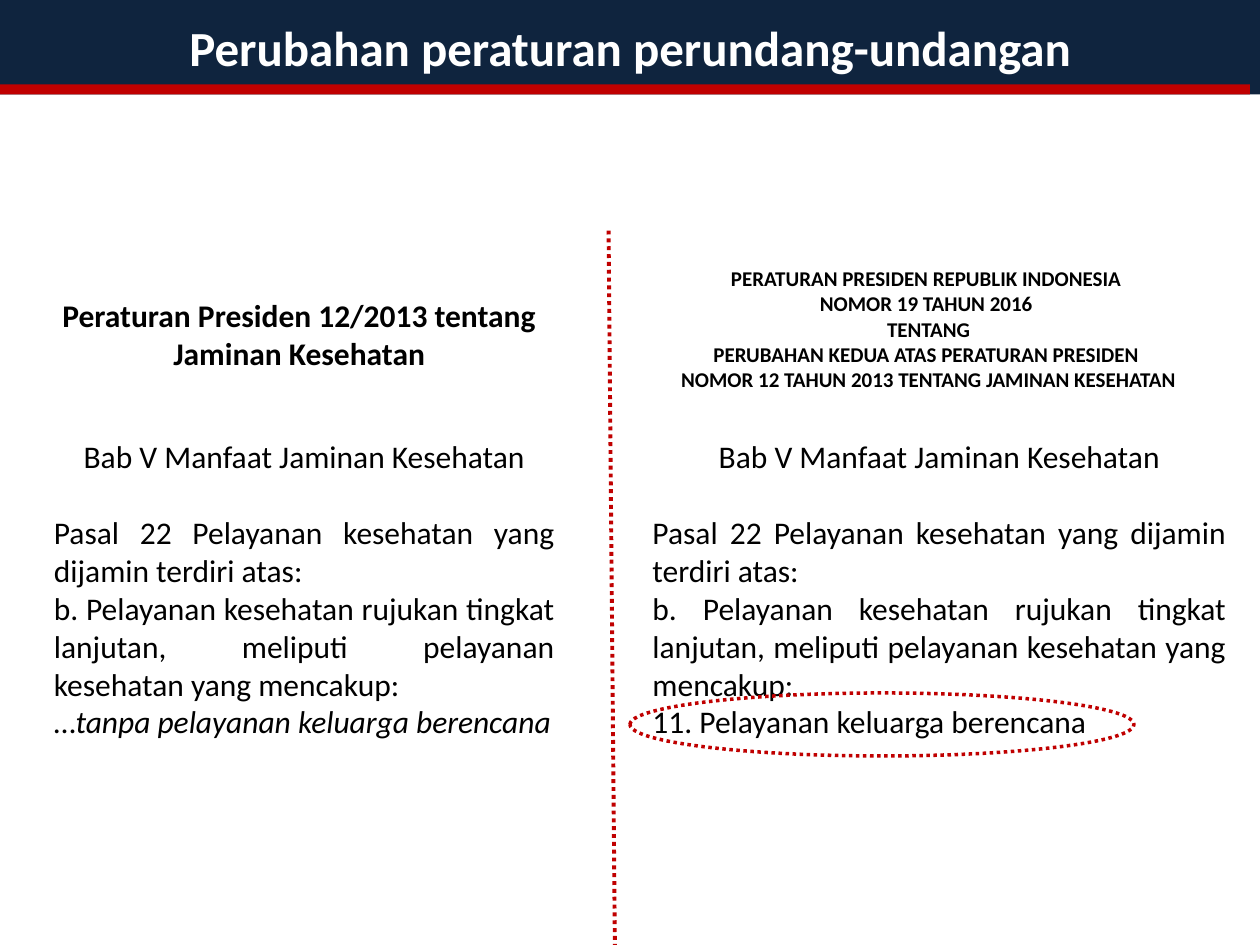
from pptx import Presentation
from pptx.dml.color import RGBColor
from pptx.enum.dml import MSO_LINE
from pptx.enum.shapes import MSO_CONNECTOR, MSO_SHAPE
from pptx.enum.text import MSO_ANCHOR, PP_ALIGN
from pptx.oxml.ns import qn
from pptx.util import Inches, Pt
from lxml.etree import SubElement

NAVY, RED, WHITE, BLACK = "0F243E", "C00000", "FFFFFF", "000000"
FONT = "Calibri"

TITLE = "Perubahan peraturan perundang-undangan"
CHAPTER = "Bab V Manfaat Jaminan Kesehatan"
ARTICLE = [
    "Pasal 22 Pelayanan kesehatan yang dijamin terdiri atas:",
    "b. Pelayanan kesehatan rujukan tingkat lanjutan, meliputi "
    "pelayanan kesehatan yang mencakup:",
]
# Boxes are left, top, width, height in inches; closing is (upright, italic)
REGULATIONS = [
    {
        "heading": ["Peraturan Presiden 12/2013 tentang Jaminan Kesehatan"],
        "heading_size": 18,
        "heading_box": (0.25, 2.3, 4.25, 0.71),
        "closing": ("…", "tanpa pelayanan keluarga berencana"),
        "article_box": (0.33, 3.42, 4.17, 2.83),
    },
    {
        "heading": [
            "PERATURAN PRESIDEN REPUBLIK INDONESIA ",
            "NOMOR 19 TAHUN 2016 ",
            "TENTANG",
            "PERUBAHAN KEDUA ATAS PERATURAN PRESIDEN ",
            "NOMOR 12 TAHUN 2013 TENTANG JAMINAN KESEHATAN",
        ],
        "heading_size": 12,
        "heading_box": (5.08, 2.06, 4.58, 1.11),
        "closing": ("11. Pelayanan keluarga berencana", ""),
        "article_box": (5.08, 3.42, 4.75, 3.13),
    },
]


def color(hex_code):
    return RGBColor.from_string(hex_code)


def add_block(kind, box, fill=None):
    block = slide.shapes.add_shape(kind, *map(Inches, box))
    block.shadow.inherit = False
    block.line.fill.background()
    if fill:
        block.fill.solid()
        block.fill.fore_color.rgb = color(fill)
    else:
        block.fill.background()
    return block


def dot_line(line, width):
    line.color.rgb = color(RED)
    line.width = Pt(width)
    line.dash_style = MSO_LINE.ROUND_DOT


def style(paragraph, size, align=PP_ALIGN.CENTER, bold=False, ink=BLACK):
    paragraph.alignment = align
    font = paragraph.font
    font.name, font.size, font.bold = FONT, Pt(size), bold
    font.color.rgb = color(ink)


def add_text(box, lines):
    frame = slide.shapes.add_textbox(*map(Inches, box)).text_frame
    frame.word_wrap = True
    frame.text = "\n".join(lines)
    return frame


prs = Presentation()
prs.slide_width, prs.slide_height = Inches(10), Inches(7.5)
slide = prs.slides.add_slide(prs.slide_layouts[6])

# Title band with red underline
band = add_block(MSO_SHAPE.RECTANGLE, (0, -0.01, 10, 0.76), NAVY)
band.text_frame.text = TITLE
band.text_frame.vertical_anchor = MSO_ANCHOR.MIDDLE
style(band.text_frame.paragraphs[0], 28, bold=True, ink=WHITE)
add_block(MSO_SHAPE.RECTANGLE, (0, 0.67, 9.92, 0.08), RED)

# Divider between the two regulations
divider = slide.shapes.add_connector(
    MSO_CONNECTOR.STRAIGHT, *map(Inches, (4.83, 1.83, 4.88, 7.5)))
dot_line(divider.line, 2.25)
SubElement(divider._element.spPr, qn("a:effectLst"))

# Heading and article of each regulation
for regulation in REGULATIONS:
    heading = add_text(regulation["heading_box"], regulation["heading"])
    for paragraph in heading.paragraphs:
        style(paragraph, regulation["heading_size"], bold=True)

    upright, italic = regulation["closing"]
    article = add_text(regulation["article_box"], [CHAPTER, *ARTICLE, upright])
    chapter, *clauses = article.paragraphs
    style(chapter, 18)
    for clause in clauses:
        style(clause, 18, PP_ALIGN.JUSTIFY)
    clauses[0].space_before = Pt(22)
    if italic:
        emphasis = clauses[-1].add_run()
        emphasis.text = italic
        emphasis.font.italic = True

# Ring around the added service
ring = add_block(MSO_SHAPE.OVAL, (5, 5.5, 4, 0.5))
dot_line(ring.line, 2)

prs.save("out.pptx")
